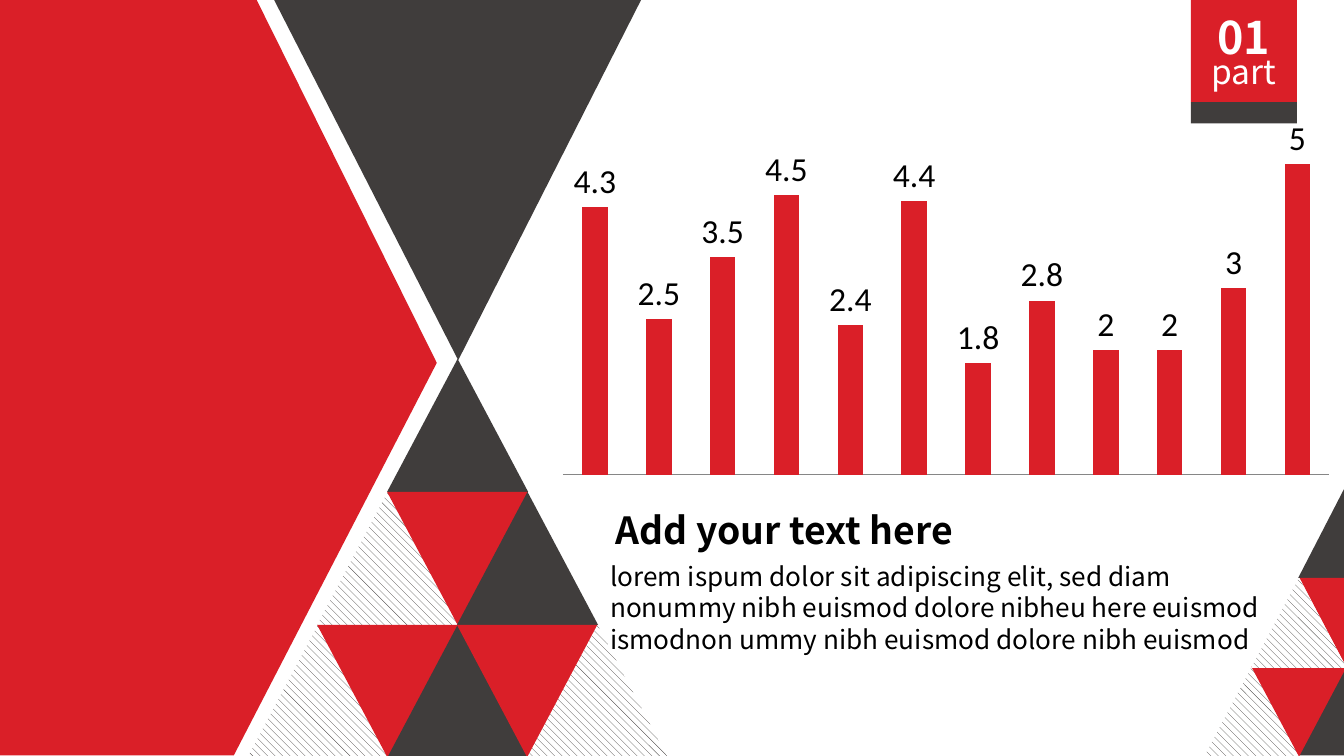
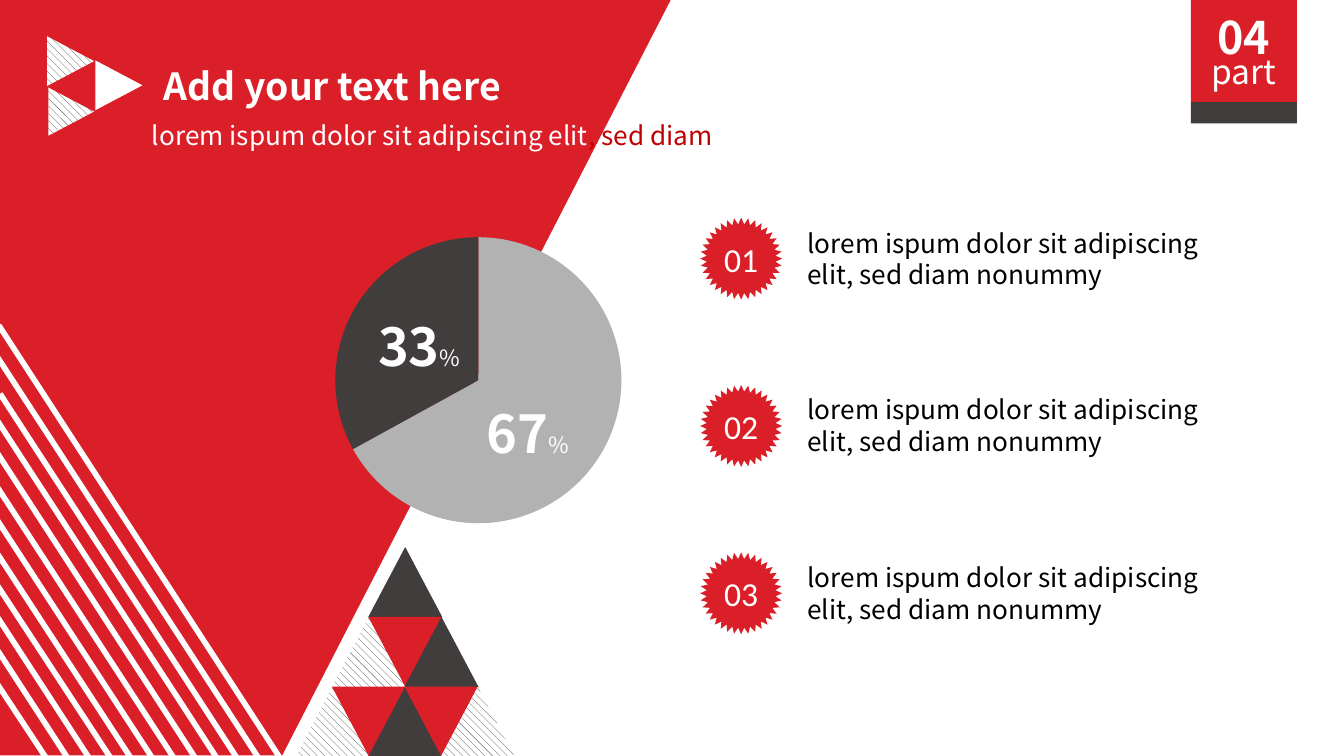
from math import cos, pi, sin

from lxml.etree import SubElement
from pptx import Presentation
from pptx.chart.data import CategoryChartData
from pptx.dml.color import RGBColor
from pptx.enum.chart import XL_CHART_TYPE, XL_LABEL_POSITION, XL_TICK_LABEL_POSITION, XL_TICK_MARK
from pptx.enum.dml import MSO_PATTERN
from pptx.enum.shapes import MSO_CONNECTOR, MSO_SHAPE, MSO_SHAPE_TYPE
from pptx.enum.text import MSO_ANCHOR, MSO_AUTO_SIZE, PP_ALIGN
from pptx.oxml import parse_xml
from pptx.oxml.ns import nsdecls, qn
from pptx.util import Pt

PX = 9144  # 100 px to the inch
RED, DARK, GREY, WHITE, BLACK = "DA1F28", "403D3C", "B2B2B2", "FFFFFF", "000000"
HATCH = "hatch"
SANS, PLAIN = "Noto Sans CJK SC", "Calibri"
LEFT, CENTER = PP_ALIGN.LEFT, PP_ALIGN.CENTER
TILE_COLOURS = {"D": DARK, "R": RED, "H": HATCH}


def paint(fill, colour):
    """Give any fill (shape, line or font) a solid colour, or the dark hatch."""
    if colour == HATCH:
        fill.patterned()
        fill.pattern = MSO_PATTERN.WIDE_DOWNWARD_DIAGONAL
        fill.fore_color.rgb = RGBColor.from_string(DARK)
        fill.back_color.rgb = RGBColor.from_string(WHITE)
    else:
        fill.solid()
        fill.fore_color.rgb = RGBColor.from_string(colour)


def write(box, lines, align=LEFT, anchor=MSO_ANCHOR.TOP,
          auto_size=MSO_AUTO_SIZE.SHAPE_TO_FIT_TEXT, font=SANS):
    """Fill a box with lines, each a list of (text, size, colour, bold)."""
    frame = box.text_frame
    frame_format = {"word_wrap": True, "auto_size": auto_size, "vertical_anchor": anchor}
    for name, value in frame_format.items():
        setattr(frame, name, value)
    for number, spans in enumerate(lines):
        para = frame.add_paragraph() if number else frame.paragraphs[0]
        para.alignment = align
        if box.is_placeholder:
            para.space_before = Pt(0)
            properties = para._p.get_or_add_pPr()
            properties.set("marL", "0")
            properties.set("indent", "0")
            SubElement(properties, qn("a:buNone"))
        for text, size, colour, bold in spans:
            span = para.add_run()
            span.text = text
            for name, value in {"name": font, "size": Pt(size), "bold": bold}.items():
                setattr(span.font, name, value)
            paint(span.font.fill, colour)


deck = Presentation()
deck.slide_width, deck.slide_height = 1000 * PX, 5143500
column_page, pie_page = [deck.slides.add_slide(deck.slide_layouts[1]) for _ in range(2)]

# Large coloured areas
areas = [
    (column_page, DARK, [(204, 0), (477, 0), (341, 268)]),
    (column_page, RED, [(0, 0), (191, 0), (325, 270), (174, 562), (0, 562)]),
    (column_page, DARK, [(966, 430), (1000, 364), (1000, 430)]),
    (column_page, RED, [(967, 430), (1000, 430), (1000, 493)]),
    (column_page, DARK, [(966, 562), (1000, 498), (1000, 562)]),
    (pie_page, RED, [(0, 0), (499, 0), (210, 562), (0, 562)]),
]
for page, colour, corners in areas:
    (start_x, start_y), *others = [(x * PX, y * PX) for x, y in corners]
    builder = page.shapes.build_freeform(start_x, start_y)
    builder.add_line_segments(others)
    paint(builder.convert_to_shape().fill, colour)

# White stripes across the lower left corner
stripe_tops = [(-1, 242), (-5, 261), (0, 293), (-2, 313), (-6, 331), (-3, 361),
               (-6, 381), (-2, 412), (-7, 428), (-4, 456), (-5, 479), (-4, 506)]
for number, (top_x, top_y) in enumerate(stripe_tops):
    foot_x = round(209 - 15.8 * number)
    stripe = pie_page.shapes.add_connector(
        MSO_CONNECTOR.STRAIGHT, foot_x * PX, 565 * PX, top_x * PX, top_y * PX)
    paint(stripe.line.fill, WHITE)
    stripe.line.width = Pt(3)
    SubElement(stripe.element.spPr, qn("a:effectLst"))

# Triangles: the corner and the arrow singly, the pyramids row by row
triangles = [
    (column_page, 896, 496, 71, 67, 0, HATCH),
    (column_page, 931, 496, 71, 67, 180, RED),
    (column_page, 931, 430, 71, 67, 0, HATCH),
    (pie_page, 35, 65, 37, 35, 90, HATCH),
    (pie_page, 70, 46, 37, 35, 90, WHITE),
    (pie_page, 34, 47, 37, 35, 270, RED),
    (pie_page, 34, 28, 37, 35, 90, HATCH),
]
pyramids = [(column_page, 288, 267, 105, 99), (pie_page, 274, 407, 55, 52)]
for page, left, top, width, height in pyramids:
    for row, tiles in enumerate(["D", "HRD", "HRDRH"]):
        for column, tile in enumerate(tiles):
            triangles.append((page, left + (column - row) * (width // 2), top + row * height,
                              width, height, column % 2 * 180, TILE_COLOURS[tile]))
for page, left, top, width, height, turn, colour in triangles:
    triangle = page.shapes.add_shape(
        MSO_SHAPE.ISOSCELES_TRIANGLE, left * PX, top * PX, width * PX, height * PX)
    triangle.rotation = turn
    paint(triangle.fill, colour)

# Part badge
for page, part in [(column_page, "01"), (pie_page, "04")]:
    for top, height, colour in [(0, 76, RED), (76, 16, DARK)]:
        band = page.shapes.add_shape(
            MSO_SHAPE.RECTANGLE, 886 * PX, top * PX, 79 * PX, height * PX)
        paint(band.fill, colour)
    for top, height, text, size, bold in [(2, 50, part, 24, True), (33, 40, "part", 18, False)]:
        box = page.shapes.add_textbox(886 * PX, top * PX, 79 * PX, height * PX)
        write(box, [[(text, size, WHITE, bold)]], CENTER)

# Titles and body text
title = "Add your text here"
lorem = "lorem ispum dolor sit adipiscing elit"
column_lines = [
    [(lorem + ", sed diam nonummy nibh euismod dolore nibheu here euismod", 14, BLACK, False)],
    [("ismodnon ummy nibh euismod dolore nibh euismod", 14, BLACK, False)],
]
pie_lines = [[(lorem, 14, WHITE, False), (", sed diam", 14, "C00000", False)]]
placeholders = [
    (column_page, 0, (424, 372, 319, 44), [[(title, 20, BLACK, True)]], CENTER),
    (column_page, 1, (444, 412, 532, 81), column_lines, LEFT),
    (pie_page, 0, (88, 42, 319, 44), [[(title, 20, WHITE, True)]], CENTER),
    (pie_page, 1, (103, 84, 475, 34), pie_lines, LEFT),
]
for page, index, place, lines, align in placeholders:
    holder = page.placeholders[index]
    for name, value in zip(("left", "top", "width", "height"), place):
        setattr(holder, name, value * PX)
    write(holder, lines, align)
    holder.element.getparent().append(holder.element)  # in front of the coloured areas

# Numbered seals with 36 teeth
for number in range(3):
    centre_x, centre_y = 551.5, 192.5 + 124.5 * number
    rim = []
    for step in range(72):
        radius = 25.6 if step % 2 else 30.5
        angle = step * pi / 36
        rim.append(((centre_x + radius * sin(angle)) * PX, (centre_y - radius * cos(angle)) * PX))
    builder = pie_page.shapes.build_freeform(*rim[0])
    builder.add_line_segments(rim[1:])
    seal = builder.convert_to_shape()
    paint(seal.fill, RED)
    write(seal, [[(f"0{number + 1}", 18, WHITE, False)]], CENTER,
          MSO_ANCHOR.MIDDLE, MSO_AUTO_SIZE.NONE, PLAIN)
    top = round(164 + 124.5 * number)
    box = pie_page.shapes.add_textbox(591 * PX, top * PX, 323 * PX, 57 * PX)
    write(box, [[(lorem + ", sed diam nonummy", 14, BLACK, False)]])

# Charts, with the plot area as fractions of the chart
charts = []
chart_plans = [
    (column_page, XL_CHART_TYPE.COLUMN_CLUSTERED, (407, 70, 594, 289),
     [4.3, 2.5, 3.5, 4.5, 2.4, 4.4, 1.8, 2.8, 2, 2, 3, 5], (0.02, 0.02, 0.96, 0.96)),
    (pie_page, XL_CHART_TYPE.PIE, (198, 162, 316, 242), [67, 33], (0.16, 0.06, 0.68, 0.88)),
]
for page, kind, place, values, plot_place in chart_plans:
    data = CategoryChartData()
    data.categories = [str(number + 1) for number in range(len(values))]
    data.add_series("Series 1", values)
    chart = page.shapes.add_chart(kind, *[length * PX for length in place], data).chart
    chart.has_title = chart.has_legend = False
    chart.font.name, chart.font.size = PLAIN, Pt(18)
    paint(chart.font.fill, BLACK)
    area = chart.element.find(".//" + qn("c:plotArea"))
    for layout in area.findall(qn("c:layout")):
        area.remove(layout)
    sizes = "".join(f'<c:{name} val="{value}"/>' for name, value in zip("xywh", plot_place))
    area.insert(0, parse_xml(
        f'<c:layout {nsdecls("c")}><c:manualLayout><c:layoutTarget val="inner"/>'
        f'<c:xMode val="edge"/><c:yMode val="edge"/>{sizes}</c:manualLayout></c:layout>'))
    charts.append(chart)
column_chart, pie_chart = charts

plot = column_chart.plots[0]
plot.gap_width, plot.vary_by_categories = 150, False
paint(plot.series[0].format.fill, RED)
labels = plot.series[0].data_labels
labels.show_value, labels.position = True, XL_LABEL_POSITION.OUTSIDE_END
value_axis, category_axis = column_chart.value_axis, column_chart.category_axis
axis_format = {"visible": False, "has_major_gridlines": False,
               "minimum_scale": 0, "maximum_scale": 6}
for name, value in axis_format.items():
    setattr(value_axis, name, value)
category_axis.tick_label_position = XL_TICK_LABEL_POSITION.NONE
category_axis.major_tick_mark = XL_TICK_MARK.NONE
paint(category_axis.format.line.fill, "868686")

for number, colour in enumerate([GREY, DARK]):
    paint(pie_chart.plots[0].series[0].points[number].format.fill, colour)
for left, top, width, height, share in [(271, 229, 82, 77, "33"), (343, 294, 99, 57, "67")]:
    box = pie_page.shapes.add_textbox(left * PX, top * PX, width * PX, height * PX)
    write(box, [[(share, 28, WHITE, True), ("%", 12, WHITE, False)]], CENTER)

# Drawn shapes carry neither outline nor shadow
for page in deck.slides:
    for shape in page.shapes:
        if shape.shape_type in (MSO_SHAPE_TYPE.AUTO_SHAPE, MSO_SHAPE_TYPE.FREEFORM):
            shape.line.fill.background()
            shape.shadow.inherit = False

deck.save("out.pptx")
